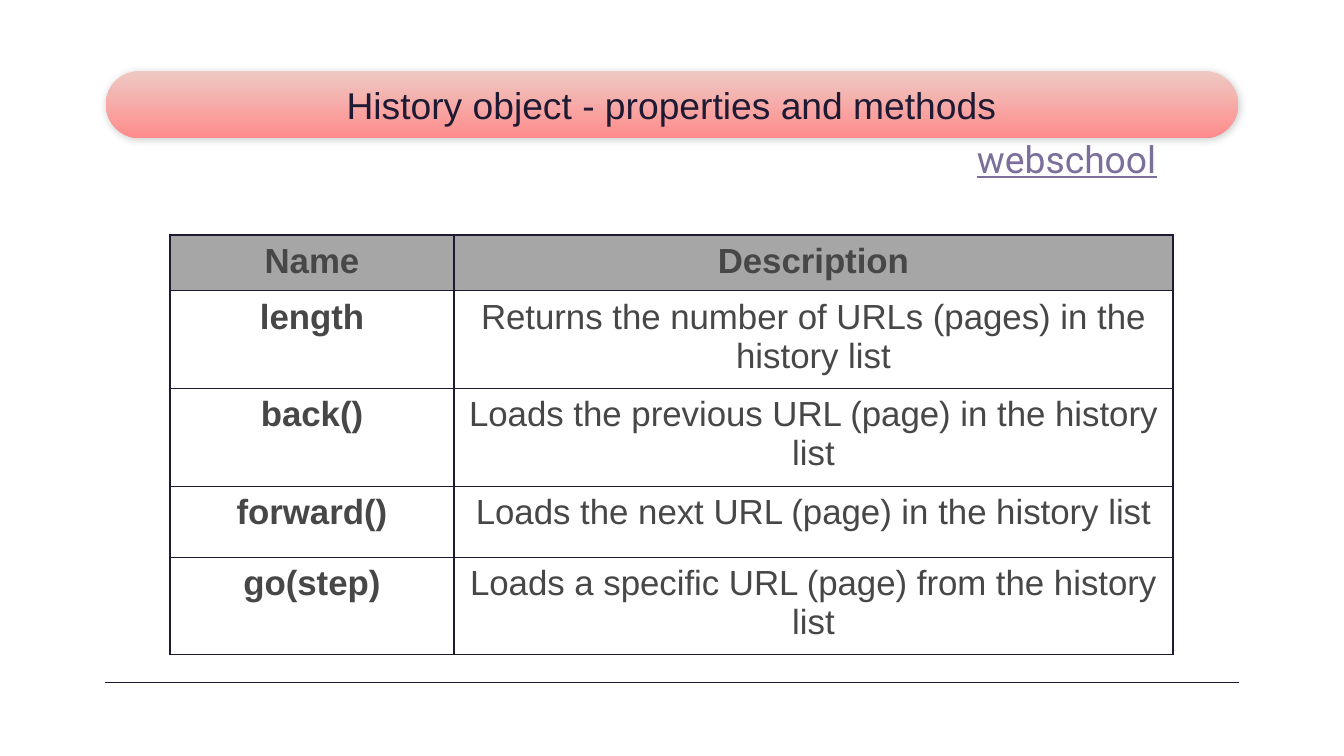
from dataclasses import dataclass

from lxml.etree import SubElement
from pptx import Presentation
from pptx.dml.color import RGBColor
from pptx.enum.shapes import MSO_CONNECTOR as Connector, MSO_SHAPE as Shape
from pptx.enum.text import MSO_ANCHOR as Anchor, PP_ALIGN as Align
from pptx.oxml import parse_xml
from pptx.oxml.ns import nsdecls, qn
from pptx.util import Pt

PIXEL = 914400 / 100.8


@dataclass(frozen=True)
class Theme:
    ink: str = "1F1A33"
    body: str = "474747"
    link: str = "7C6F9C"
    header_fill: str = "A6A6A6"
    cell_fill: str = "FFFFFF"
    banner_top: str = "EEC9C3"
    banner_bottom: str = "FF8C8C"
    font: str = "Arial"
    link_font: str = "Roboto"
    title_size: float = 26.6
    table_size: float = 24.9


THEME = Theme()
HISTORY_ROWS = [
    ("Name", "Description"),
    ("length", "Returns the number of URLs (pages) in the history list"),
    ("back()", "Loads the previous URL (page) in the history list"),
    ("forward()", "Loads the next URL (page) in the history list"),
    ("go(step)", "Loads a specific URL (page) from the history list"),
]
COLUMN_WIDTHS = (284, 719)
ROW_HEIGHTS = (55, 97, 97, 71, 97)


def px(*lengths):
    return [round(length * PIXEL) for length in lengths]


def rgb(colour):
    return RGBColor.from_string(colour)


def write(frame, text, size, colour, font=THEME.font, align=Align.CENTER,
          bold=False, underline=False):
    paragraph = frame.paragraphs[0]
    paragraph.alignment = align
    run = paragraph.add_run()
    run.text = text
    run.font.name = font
    run.font.size = Pt(size)
    run.font.bold = bold
    run.font.underline = underline
    run.font.color.rgb = rgb(colour)


def set_margins(target, horizontal, vertical):
    target.margin_left, target.margin_right = px(horizontal, horizontal)
    target.margin_top, target.margin_bottom = px(vertical, vertical)


def add_text(slide, box, text, margins, anchor=Anchor.TOP, **style):
    frame = slide.shapes.add_textbox(*px(*box)).text_frame
    frame.word_wrap = True
    frame.vertical_anchor = anchor
    set_margins(frame, *margins)
    write(frame, text, **style)


def add_soft_shadow(shape):
    shape.shadow.inherit = False
    effects = shape._element.spPr.find(qn("a:effectLst"))
    effects.append(parse_xml(
        f'<a:outerShdw {nsdecls("a")} blurRad="71120" dist="10160" '
        'dir="3960000" algn="bl" rotWithShape="0">'
        '<a:srgbClr val="000000"><a:alpha val="20000"/></a:srgbClr>'
        '</a:outerShdw>'))


def add_banner(slide, box, title):
    left, top, width, height = box
    banner = slide.shapes.add_shape(Shape.ROUNDED_RECTANGLE, *px(*box))
    banner.adjustments[0] = 0.5
    banner.line.fill.background()
    banner.fill.gradient()
    banner.fill.gradient_angle = 270
    colours = (THEME.banner_top, THEME.banner_bottom)
    for stop, colour in zip(banner.fill.gradient_stops, colours):
        stop.color.rgb = rgb(colour)
    add_soft_shadow(banner)
    side = 186
    add_text(slide, (left + side, top, width - 2 * side, height), title,
             margins=(13, 13), anchor=Anchor.MIDDLE,
             size=THEME.title_size, colour=THEME.ink)


def add_rule(slide, left, top, width):
    line = slide.shapes.add_connector(
        Connector.STRAIGHT, *px(left, top, left + width, top))
    line.line.color.rgb = rgb(THEME.ink)
    line.line.width = Pt(0.75)
    SubElement(line._element.spPr, qn("a:effectLst"))


def set_borders(cell):
    """Border lines must come before the fill in the cell properties."""
    properties = cell._tc.get_or_add_tcPr()
    for index, side in enumerate("LRTB"):
        properties.insert(index, parse_xml(
            f'<a:ln{side} {nsdecls("a")} w="{Pt(1)}"><a:solidFill>'
            f'<a:srgbClr val="{THEME.ink}"/></a:solidFill></a:ln{side}>'))


def add_history_table(slide, left, top):
    table = slide.shapes.add_table(
        len(ROW_HEIGHTS), len(COLUMN_WIDTHS),
        *px(left, top, sum(COLUMN_WIDTHS), sum(ROW_HEIGHTS))).table
    table.first_row = table.horz_banding = False
    for column, width in zip(table.columns, px(*COLUMN_WIDTHS)):
        column.width = width
    for row, height in zip(table.rows, px(*ROW_HEIGHTS)):
        row.height = height
    for row_index, texts in enumerate(HISTORY_ROWS):
        is_header = row_index == 0
        for column_index, text in enumerate(texts):
            cell = table.cell(row_index, column_index)
            set_margins(cell, 13, 7)
            cell.fill.solid()
            cell.fill.fore_color.rgb = rgb(
                THEME.header_fill if is_header else THEME.cell_fill)
            set_borders(cell)
            write(cell.text_frame, text, THEME.table_size, THEME.body,
                  bold=is_header or column_index == 0)


def main():
    presentation = Presentation()
    presentation.slide_width, presentation.slide_height = px(1344, 756)
    slide = presentation.slides.add_slide(presentation.slide_layouts[6])
    add_banner(slide, (106, 71, 1132, 67),
               "History object - properties and methods")
    add_rule(slide, 105, 683, 1134)
    add_text(slide, (967, 131, 231, 55), "webschool", margins=(10, 5),
             size=THEME.title_size, colour=THEME.link, font=THEME.link_font,
             align=Align.LEFT, underline=True)
    add_history_table(slide, 170, 235)
    presentation.save("out.pptx")


if __name__ == "__main__":
    main()
